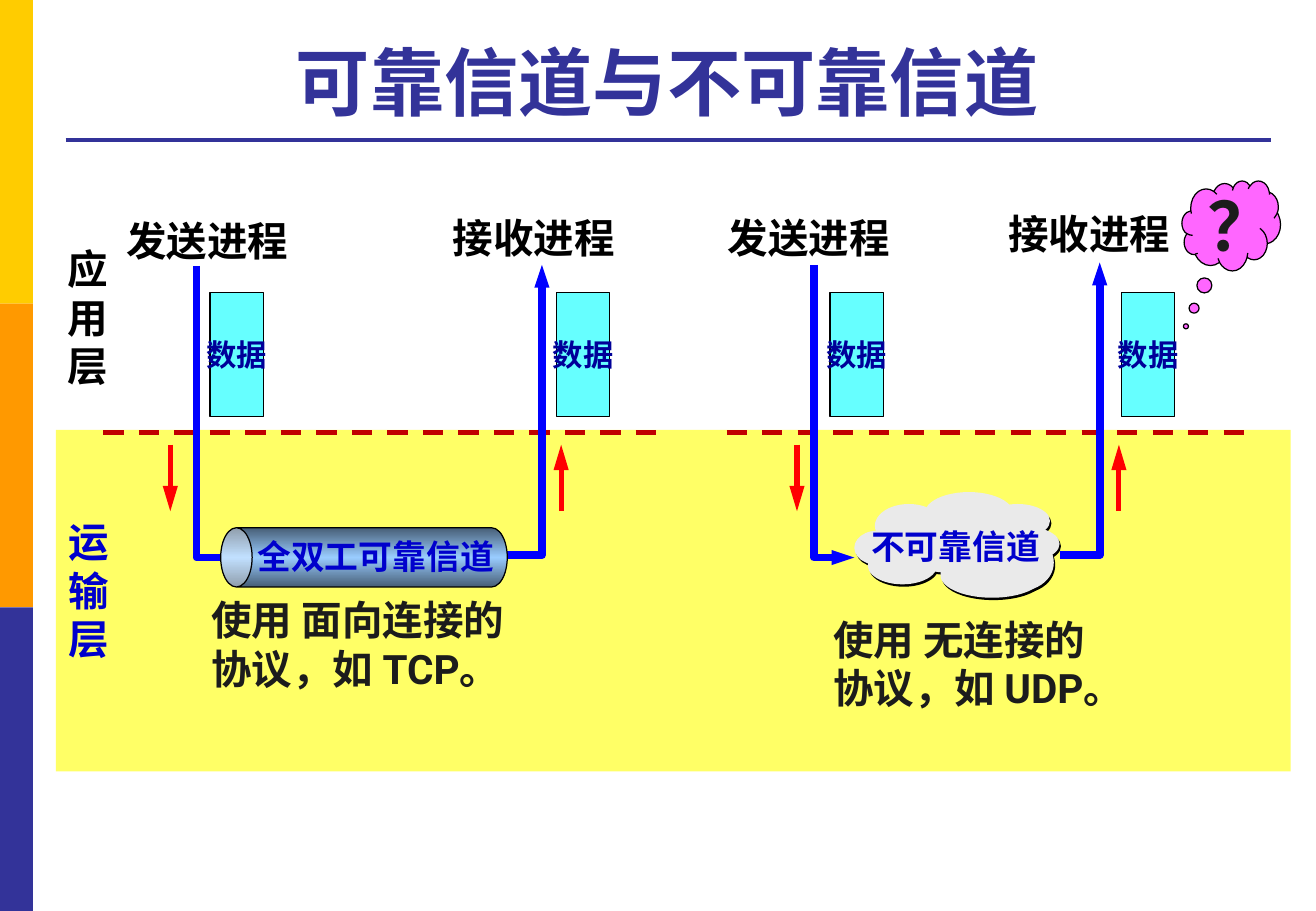
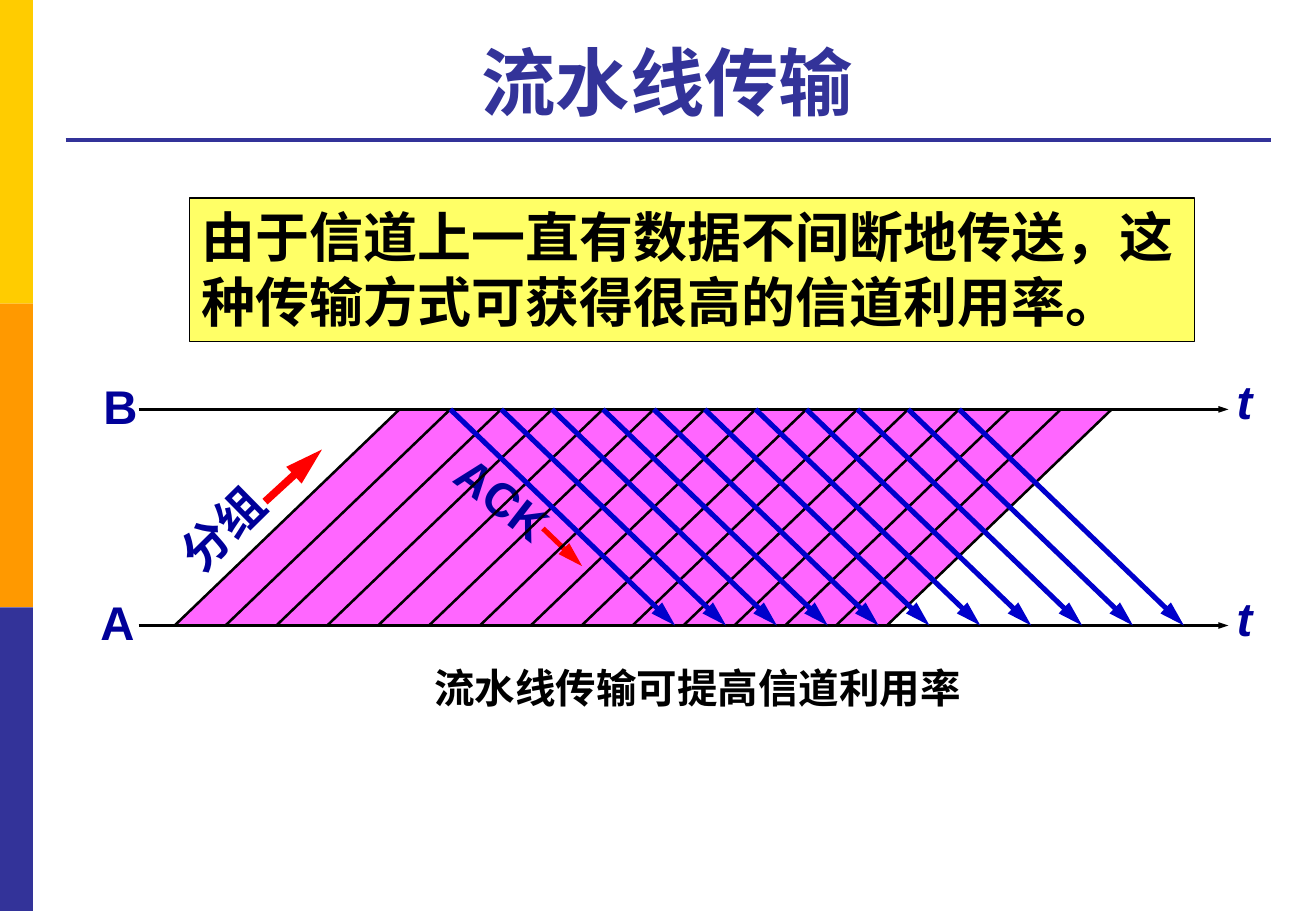
import copy

import lxml.etree
import pptx
import pptx.dml.color
import pptx.enum.dml
import pptx.enum.lang
import pptx.enum.shapes
import pptx.enum.text
import pptx.oxml.ns
import pptx.util

Cm = pptx.util.Cm
Pt = pptx.util.Pt
qn = pptx.oxml.ns.qn
KIND = pptx.enum.shapes.MSO_SHAPE
ALIGN = pptx.enum.text.PP_ALIGN
ANCHOR = pptx.enum.text.MSO_ANCHOR
FIT = pptx.enum.text.MSO_AUTO_SIZE

# Shared look
NAVY, BLUE, INK, BLACK = "333399", "0000CC", "1C1C1C", "000000"
DEEP, RED, PINK, LEMON = "000099", "FF0000", "FF66FF", "FFFF66"
BANDS = ("FFCC00", "FF9900", NAVY)
THIN = ("sm", "med")
LONG = ("med", "lg")


def tint(code):
    return pptx.dml.color.RGBColor.from_string(code)


def write(shape, text, size=24, color=BLACK, font="Roboto", italic=False,
          align=ALIGN.LEFT, anchor=ANCHOR.TOP, wrap=True, grow=True):
    frame = shape.text_frame
    frame.text = text
    frame.word_wrap = wrap
    frame.auto_size = FIT.SHAPE_TO_FIT_TEXT if grow else FIT.NONE
    frame.vertical_anchor = anchor
    for para in frame.paragraphs:
        para.alignment = align
        for run in para.runs:
            face = run.font
            face.name, face.size = font, Pt(size)
            face.bold, face.italic = True, italic
            face.color.rgb = tint(color)
            face.language_id = pptx.enum.lang.MSO_LANGUAGE_ID.SIMPLIFIED_CHINESE


def label(slide, text, at, turn=0, **style):
    box = slide.shapes.add_textbox(*map(Cm, at))
    box.rotation = turn
    write(box, text, **style)


def paint(shape, fill=None, edge=None, width=0.75):
    shape.shadow.inherit = False
    if fill:
        shape.fill.solid()
        shape.fill.fore_color.rgb = tint(fill)
    else:
        shape.fill.background()
    if edge:
        shape.line.color.rgb = tint(edge)
        shape.line.width = Pt(width)
    else:
        shape.line.fill.background()


def block(slide, at, fill, edge=None, kind=KIND.RECTANGLE):
    shape = slide.shapes.add_shape(kind, *map(Cm, at))
    paint(shape, fill, edge)
    return shape


def point(shape, head):
    """Put an arrowhead of the given width and length at the line's end."""
    line = shape.element.spPr.find(qn("a:ln"))
    lxml.etree.SubElement(line, qn("a:tailEnd"), type="triangle",
                          w=head[0], len=head[1])


def rule(slide, start, end, color, width, head=None, dash=False):
    line = slide.shapes.add_connector(
        pptx.enum.shapes.MSO_CONNECTOR.STRAIGHT, *map(Cm, start + end))
    line.line.color.rgb = tint(color)
    line.line.width = Pt(width)
    if dash:
        line.line.dash_style = pptx.enum.dml.MSO_LINE.DASH
    if head:
        point(line, head)
    lxml.etree.SubElement(line.element.spPr, qn("a:effectLst"))


def trace(slide, dots, closed=False, **style):
    spots = [(Cm(x), Cm(y)) for x, y in dots]
    pen = slide.shapes.build_freeform(*spots[0], scale=1.0)
    pen.add_line_segments(spots[1:], close=closed)
    shape = pen.convert_to_shape()
    paint(shape, **style)
    return shape


def pipe(slide, at):
    can = block(slide, at, NAVY, BLACK, KIND.CAN)
    can.rotation = 270
    can.adjustments[0] = 0.53
    can.fill.gradient()
    can.fill.gradient_angle = 0
    stops = can.element.spPr.find(".//" + qn("a:gsLst"))
    stops.append(copy.deepcopy(stops[0]))
    shades = ((0, "475E76"), (0.5, "99CCFF"), (1, "475E76"))
    for stop, (place, shade) in zip(can.fill.gradient_stops, shades):
        stop.position = place
        stop.color.rgb = tint(shade)


def cloud(slide):
    puffs = ((19.33, 10.29, 1.85, 0.89), (18.29, 10.54, 1.42, 0.91),
             (17.86, 11.1, 0.94, 0.71), (18.14, 11.43, 1.45, 0.79),
             (19.66, 11.56, 2.16, 0.94), (20.6, 10.54, 1.35, 0.71),
             (20.8, 11.02, 1.35, 0.71), (20.68, 11.18, 1.35, 1.17),
             (18.64, 10.82, 2.79, 1.17))
    for dx, dy, fill in ((0.03, 0.05, BLACK), (0, 0, "EAEAEA")):
        for x, y, w, h in puffs:
            block(slide, (x + dx, y + dy, w, h), fill, kind=KIND.OVAL)


def start(deck, title):
    """Add a slide with side bands, title and title rule."""
    slide = deck.slides.add_slide(deck.slide_layouts[6])
    for i, fill in enumerate(BANDS):
        block(slide, (0, i * 6.35, 0.69, 6.35), fill)
    rule(slide, (1.37, 2.92), (26.57, 2.92), NAVY, 2.25)
    label(slide, title, (1.37, 0.53, 25.17, 2.21), size=44, color=NAVY,
          font="Arial", align=ALIGN.CENTER, anchor=ANCHOR.BOTTOM, grow=False)
    return slide


def channels(deck):
    slide = start(deck, "可靠信道与不可靠信道")

    # Layers
    block(slide, (1.17, 8.99, 25.81, 7.14), LEMON)
    label(slide, "应\n用\n层", (1.17, 4.98, 1.37, 3.33), wrap=False)
    label(slide, "运\n输\n层", (1.19, 10.69, 1.37, 3.33), color=BLUE, wrap=False)
    for left, right in ((2.16, 13.79), (15.19, 26.21)):
        rule(slide, (left, 9.04), (right, 9.04), "C00000", 3, dash=True)

    # Question bubble
    bubble = block(slide, (24.71, 3.78, 2.06, 1.88), PINK, BLACK,
                   KIND.CLOUD_CALLOUT)
    bubble.adjustments[0], bubble.adjustments[1] = -0.46, 1.12
    label(slide, "？", (24.99, 3.73, 1.09, 1.96), size=40, color=INK)

    # Data paths
    paths = (((4.11, 5.56), (4.11, 11.66), (5.13, 11.66)),
             ((10.31, 11.61), (11.33, 11.61), (11.33, 5.54)),
             ((17.02, 5.54), (17.02, 11.66), (17.86, 11.66)),
             ((22.15, 11.61), (22.99, 11.61), (22.99, 5.49)))
    for dots in paths:
        point(trace(slide, dots, edge="0000FF", width=4.5), THIN)

    # Processes, data blocks and flow arrows
    high, low = 9.3, 10.69
    ends = (("发送进程", 2.39, 4.39, 4.39, 3.56, True),
            ("接收进程", 9.22, 4.32, 11.63, 11.73, False),
            ("发送进程", 14.96, 4.32, 17.35, 16.66, True),
            ("接收进程", 20.83, 4.24, 23.44, 23.39, False))
    for name, x, y, data, flow, down in ends:
        label(slide, name, (x, y, 4.13, 1.27))
        box = block(slide, (data, 6.12, 1.12, 2.59), "66FFFF", BLACK)
        write(box, "数据", size=18, color=DEEP, font="Arial", wrap=False,
              align=ALIGN.CENTER, anchor=ANCHOR.MIDDLE, grow=False)
        first, last = (high, low) if down else (low, high)
        rule(slide, (flow, first), (flow, last), RED, 3, LONG)

    # Channels
    pipe(slide, (6.99, 8.66, 1.24, 5.99))
    cloud(slide)
    for text, at in (("全双工可靠信道", (5.13, 11.07, 5.49, 1.09)),
                     ("不可靠信道", (17.96, 10.87, 4.09, 1.12))):
        label(slide, text, at, size=20, color=BLUE, wrap=False)
    for text, at in (
            ("使用 面向连接的\n协议，如 TCP。", (4.17, 12.32, 6.78, 2.31)),
            ("使用 无连接的\n协议，如 UDP。", (17.17, 12.73, 6.91, 2.31))):
        label(slide, text, at, color=INK, wrap=False)


def pipeline(deck):
    slide = start(deck, "流水线传输")
    top, base = 8.56, 13.08
    left, right, lean = 3.65, 18.54, 4.7
    count = 15
    step = (right - left) / (count - 1)
    mark = dict(size=28, color=DEEP, font="Arial", wrap=False)

    # Packet field and time axes
    trace(slide, ((left, base), (left + lean, top), (right + lean, top),
                  (right, base)), closed=True, fill=PINK)
    for name, x, y in (("B", 1.91, top), ("A", 1.85, base)):
        rule(slide, (2.9, y), (25.68, y), BLACK, 1.5, THIN)
        label(slide, name, (x, y - 0.79, 1.24, 1.45), **mark)
        label(slide, "t", (25.6, y - 0.89, 0.84, 1.45), italic=True, **mark)

    # Direction marks
    label(slide, "分组", (3.4, 10.31, 2.51, 1.45), turn=315.3, **mark)
    rule(slide, (5.54, 10.49), (6.73, 9.4), RED, 4.5, LONG)
    label(slide, "ACK", (9.19, 9.7, 2.67, 1.45), turn=37.8, **mark)
    rule(slide, (11.35, 11.05), (12.17, 11.84), RED, 3, LONG)

    # Packets go up; each ACK leaves one step later
    for i in range(count):
        x = left + i * step
        rule(slide, (x, base), (x + lean, top), BLACK, 1.5)
    for i in range(1, 12):
        x = left + lean + i * step
        rule(slide, (x, top), (x + lean, base), BLUE, 3, LONG)

    # Statement and caption
    note = block(slide, (3.96, 4.14, 21.01, 3), LEMON, BLACK)
    write(note, "由于信道上一直有数据不间断地传送，这种传输方式可获得很高的信道利用率。",
          size=32, font="Arial")
    label(slide, "流水线传输可提高信道利用率", (5.46, 13.74, 18.24, 1.27),
          font="Arial", align=ALIGN.CENTER)


def main():
    deck = pptx.Presentation()
    deck.slide_width, deck.slide_height = Cm(27.51), Cm(19.05)
    channels(deck)
    pipeline(deck)
    deck.save("out.pptx")


if __name__ == "__main__":
    main()
